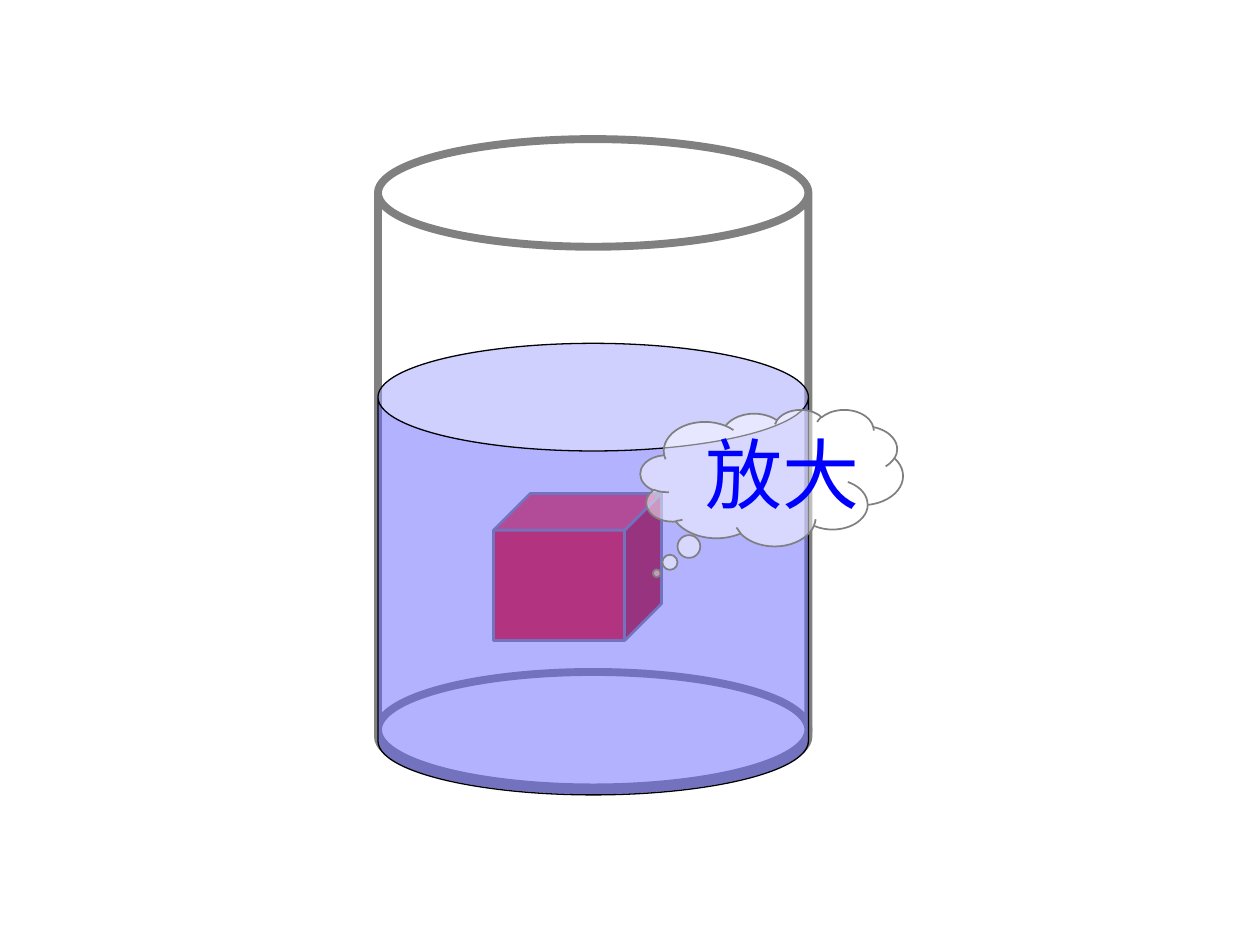
from lxml import etree
from pptx import Presentation
from pptx.dml.color import RGBColor
from pptx.enum.shapes import MSO_SHAPE
from pptx.enum.text import MSO_ANCHOR, MSO_AUTO_SIZE, PP_ALIGN
from pptx.oxml.ns import qn
from pptx.util import Pt

CAN, CUBE, ELLIPSE = MSO_SHAPE.CAN, MSO_SHAPE.CUBE, MSO_SHAPE.OVAL
CLOUD = MSO_SHAPE.CLOUD_CALLOUT
CENTER, MIDDLE = PP_ALIGN.CENTER, MSO_ANCHOR.MIDDLE
FIT_TEXT = MSO_AUTO_SIZE.SHAPE_TO_FIT_TEXT

COLORS = {
    "white": "FFFFFF",
    "glass": "808080",
    "water": "6666FF",
    "outline": "000000",
    "cube": "FF0000",
    "label": "0000FF",
}
FONT = "Times New Roman"


def color(name):
    return RGBColor.from_string(COLORS[name])


def add_figure(shapes, kind, box, fill, line, width, opacity=100, adjustments=()):
    """Add a preset shape; box is (left, top, width, height) in points."""
    shape = shapes.add_shape(kind, *(Pt(length) for length in box))
    shape.shadow.inherit = False
    for index, value in enumerate(adjustments):
        shape.adjustments[index] = value
    shape.fill.solid()
    shape.fill.fore_color.rgb = color(fill)
    if opacity < 100:
        fill_color = shape.fill._xPr.find(qn("a:solidFill"))[0]
        etree.SubElement(fill_color, qn("a:alpha"), val=str(opacity * 1000))
    shape.line.color.rgb = color(line)
    shape.line.width = Pt(width)
    return shape


def add_text(shapes, text, box, size, text_color, font=FONT, align=CENTER, anchor=MIDDLE):
    text_box = shapes.add_textbox(*(Pt(length) for length in box))
    frame = text_box.text_frame
    frame.word_wrap = False
    frame.auto_size = FIT_TEXT
    frame.vertical_anchor = anchor
    paragraph = frame.paragraphs[0]
    paragraph.alignment = align
    run = paragraph.add_run()
    run.text = text
    run.font.name = font
    run.font.size = Pt(size)
    run.font.color.rgb = color(text_color)
    return text_box


def add_beaker(slide, left, top, width, height):
    """Glass beaker with a cube under water, drawn from back to front."""
    shapes = slide.shapes
    # Glass wall
    add_figure(shapes, CAN, (left, top, width, height), "white", "glass", 4.5,
               opacity=50, adjustments=[0.25])
    # Submerged cube
    add_figure(shapes, CUBE, (left + 66, top + 202.5, 96, 84), "cube", "glass", 1.5,
               adjustments=[0.25])
    # Beaker floor
    add_figure(shapes, ELLIPSE, (left, top + 304.5, width, 66), "white", "glass", 4.5)
    # Water
    add_figure(shapes, CAN, (left, top + 116.75, width, 258), "water", "outline", 0.75,
               opacity=50, adjustments=[0.25])


def add_thought_bubble(slide, left, top, width, height, text):
    """Cloud callout grouped with its label."""
    shapes = slide.shapes.add_group_shape().shapes
    add_figure(shapes, CLOUD, (left, top, width, height), "white", "glass", 1,
               opacity=50, adjustments=[-0.438, 0.7])
    add_text(shapes, text, (left + 29, top + 6, 104, 60), size=44, text_color="label")


def main():
    presentation = Presentation()
    presentation.slide_width = Pt(720)
    presentation.slide_height = Pt(540)
    slide = presentation.slides.add_slide(presentation.slide_layouts[6])
    add_beaker(slide, 216, 79.5, 246, 372)
    add_thought_bubble(slide, 366, 234, 150, 78, "放大")
    presentation.save("out.pptx")


if __name__ == "__main__":
    main()
